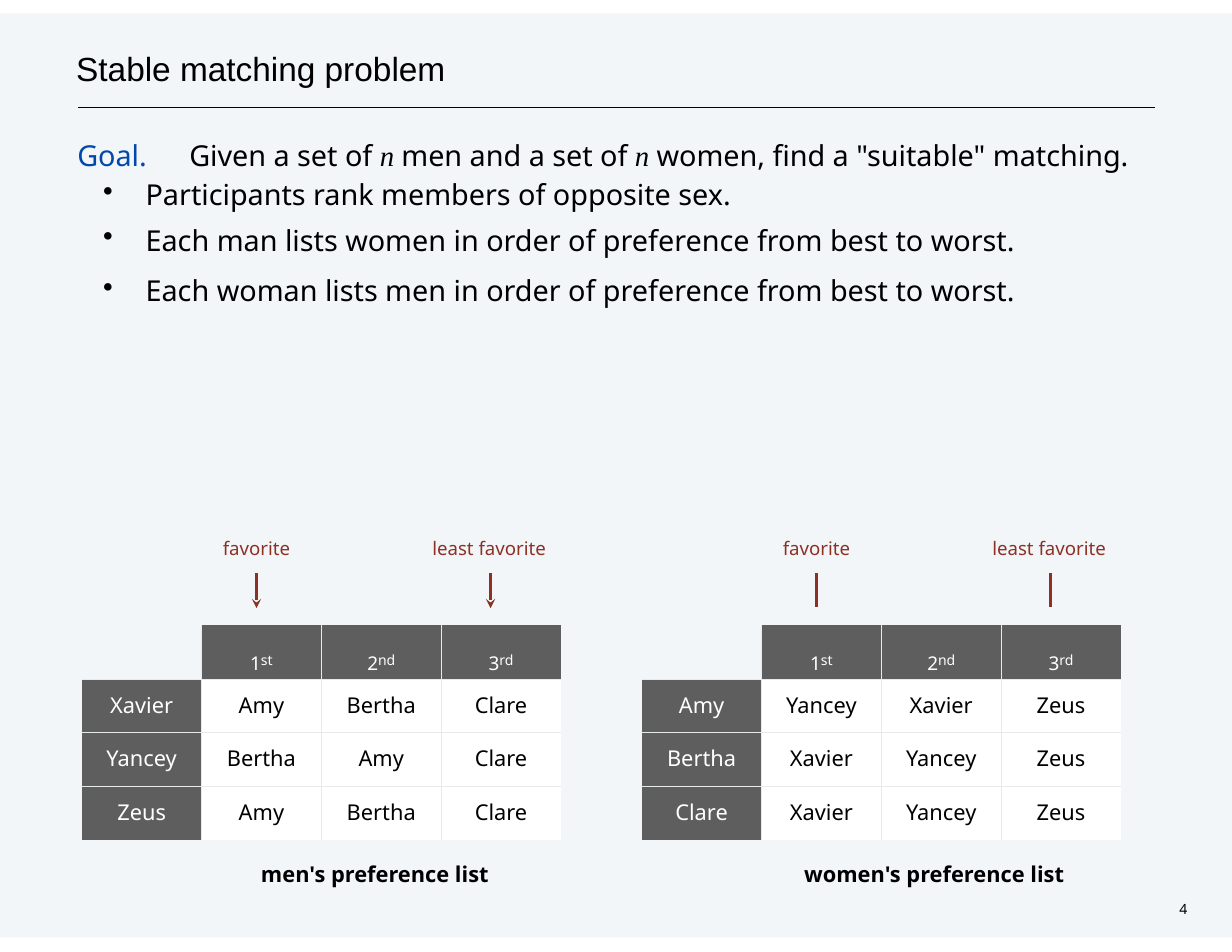
from dataclasses import dataclass
from typing import Any

import pptx
import pptx.dml.color
import pptx.enum.shapes
import pptx.enum.text
import pptx.oxml
import pptx.oxml.ns
import pptx.slide
import pptx.util
from pptx.util import Inches

COLORS = {
    "tint": "005493",
    "black": "000000",
    "white": "FFFFFF",
    "goal": "0048AA",
    "accent": "8D3124",
    "header": "5E5E5E",
    "border": "E7EAEB",
}
SANS = "Noto Sans"
CELL_WIDTH, CELL_HEIGHT = 1.07, 0.48
BODY_SIZE = 18.5
ORDINALS = [("1", "st"), ("2", "nd"), ("3", "rd")]
NAMESPACE = pptx.oxml.ns.nsdecls("a")


@dataclass
class PreferenceList:
    left: float
    caption: str
    caption_left: float
    caption_width: float
    rows: list[list[str]]
    arrow_bottom: float
    arrowheads: bool


PREFERENCE_LISTS = [
    PreferenceList(0.73, "men's preference list", 2.32, 2.12,
                   [["Xavier", "Amy", "Bertha", "Clare"],
                    ["Yancey", "Bertha", "Amy", "Clare"],
                    ["Zeus", "Amy", "Bertha", "Clare"]], 5.43, True),
    PreferenceList(5.73, "women's preference list", 7.17, 2.41,
                   [["Amy", "Yancey", "Xavier", "Zeus"],
                    ["Bertha", "Xavier", "Yancey", "Zeus"],
                    ["Clare", "Xavier", "Yancey", "Zeus"]], 5.42, False),
]


def rgb(name: str) -> pptx.dml.color.RGBColor:
    return pptx.dml.color.RGBColor.from_string(COLORS[name])


def write(paragraph: Any, text: str, *, size: float, color: str = "black", font: str = SANS,
          bold: bool = False, italic: bool = False, baseline: int = 0) -> None:
    """Append one formatted run; baseline is a percentage shift."""
    run = paragraph.add_run()
    run.text = text
    run.font.name = font
    run.font.size = pptx.util.Pt(size)
    run.font.bold = bold
    run.font.italic = italic
    run.font.color.rgb = rgb(color)
    if baseline:
        run.font._element.set("baseline", str(baseline * 1000))


def set_margins(target: Any, top: float) -> None:
    target.margin_left = target.margin_right = target.margin_bottom = 0
    target.margin_top = Inches(top)


def indent(paragraph: Any, left: float, first: float = 0) -> None:
    properties = paragraph._p.get_or_add_pPr()
    properties.set("marL", str(Inches(left)))
    properties.set("indent", str(Inches(first)))


def add_text_box(slide: pptx.slide.Slide, left: float, top: float, width: float,
                 height: float, inset: float) -> Any:
    box = slide.shapes.add_textbox(Inches(left), Inches(top), Inches(width), Inches(height))
    box.text_frame.word_wrap = True
    set_margins(box.text_frame, inset)
    return box.text_frame


def add_label(slide: pptx.slide.Slide, text: str, left: float, top: float, width: float,
              height: float, *, margin: float = 0.01, before: float = 1, **style: Any) -> None:
    paragraph = add_text_box(slide, left, top, width, height, 0.01).paragraphs[0]
    indent(paragraph, margin)
    paragraph.space_before = pptx.util.Pt(before)
    write(paragraph, text, **style)


def add_line(slide: pptx.slide.Slide, start: tuple[float, float], end: tuple[float, float],
             color: str, width: float, arrowhead: bool = False) -> None:
    connector = slide.shapes.add_connector(
        pptx.enum.shapes.MSO_CONNECTOR.STRAIGHT,
        Inches(start[0]), Inches(start[1]), Inches(end[0]), Inches(end[1]))
    connector.line.color.rgb = rgb(color)
    connector.line.width = pptx.util.Pt(width)
    if arrowhead:
        connector.line._get_or_add_ln().append(
            pptx.oxml.parse_xml(f'<a:tailEnd {NAMESPACE} type="stealth"/>'))
    connector._element.spPr.append(pptx.oxml.parse_xml(f"<a:effectLst {NAMESPACE}/>"))


def add_borders(cell: Any, inner_sides: dict[str, bool]) -> None:
    """Rule the sides shared with other cells and clear the outer ones."""
    properties = cell._tc.get_or_add_tcPr()
    for side, inner in inner_sides.items():
        fill = (f'<a:solidFill><a:srgbClr val="{COLORS["border"]}"/></a:solidFill>'
                if inner else "<a:noFill/>")
        properties.append(pptx.oxml.parse_xml(
            f'<a:ln{side} {NAMESPACE} w="{pptx.util.Pt(0.25)}">{fill}</a:ln{side}>'))


def add_preference_table(slide: pptx.slide.Slide, preferences: PreferenceList) -> None:
    table = slide.shapes.add_table(4, 4, Inches(preferences.left), Inches(5.58),
                                   Inches(4 * CELL_WIDTH), Inches(4 * CELL_HEIGHT)).table
    table.first_row = table.horz_banding = False
    for track in range(4):
        table.columns[track].width = Inches(CELL_WIDTH)
        table.rows[track].height = Inches(CELL_HEIGHT)
    for row in range(4):
        for column in range(4):
            cell = table.cell(row, column)
            add_borders(cell, {"L": column > 0, "R": column < 3, "T": row > 0, "B": row < 3})
            set_margins(cell, 0.1 if row else 0.05)
            if row == column == 0:
                cell.fill.background()
                continue
            is_header = row == 0 or column == 0
            cell.fill.solid()
            cell.fill.fore_color.rgb = rgb("header" if is_header else "white")
            paragraph = cell.text_frame.paragraphs[0]
            paragraph.alignment = pptx.enum.text.PP_ALIGN.CENTER
            paragraph.space_before = pptx.util.Pt(7 if row else 3.3)
            if row == 0:
                number, suffix = ORDINALS[column - 1]
                write(paragraph, number, size=21, color="white", baseline=-14)
                write(paragraph, suffix, size=9, color="white")
            else:
                write(paragraph, preferences.rows[row - 1][column], size=14,
                      color="white" if is_header else "black")


def add_preferences(slide: pptx.slide.Slide, preferences: PreferenceList) -> None:
    left = preferences.left
    for text, offset, width, arrow_offset in [("favorite", 1.25, 0.67, 1.56),
                                              ("least favorite", 3.12, 1.12, 3.65)]:
        add_label(slide, text, left + offset, 4.78, width, 0.23, size=12, color="accent")
        x = left + arrow_offset
        add_line(slide, (x, 5.12), (x, preferences.arrow_bottom), "accent", 1.55,
                 preferences.arrowheads)
    add_preference_table(slide, preferences)
    add_label(slide, preferences.caption, preferences.caption_left, 7.68,
              preferences.caption_width, 0.26, size=14, bold=True)


def add_goal(slide: pptx.slide.Slide) -> None:
    frame = add_text_box(slide, 0.63, 1.25, 9.71, 1.59, 0.01)
    goal = frame.paragraphs[0]
    indent(goal, 0.06)
    goal.line_spacing = pptx.util.Pt(20.3)
    goal.space_before = pptx.util.Pt(1.1)
    goal._p.get_or_add_pPr().append(pptx.oxml.parse_xml(
        f'<a:tabLst {NAMESPACE}><a:tab pos="{Inches(0.86)}" algn="l"/></a:tabLst>'))
    write(goal, "Goal.\t", size=BODY_SIZE, color="goal")
    for text in ["Given a set of ", "n ", "men and a set of ", "n ",
                 'women, find a "suitable" matching.']:
        variable = text == "n "
        write(goal, text, size=BODY_SIZE, italic=variable,
              font="Times New Roman" if variable else SANS)
    for text, spacing in [
            ("Participants rank members of opposite sex.", 25),
            ("Each man lists women in order of preference from best to worst.", 29.4),
            ("Each woman lists men in order of preference from best to worst.", 32.4)]:
        bullet = frame.add_paragraph()
        indent(bullet, 0.67, -0.38)
        bullet.line_spacing = pptx.util.Pt(spacing)
        bullet._p.get_or_add_pPr().append(
            pptx.oxml.parse_xml(f'<a:buChar {NAMESPACE} char="•"/>'))
        write(bullet, text, size=BODY_SIZE)


def main() -> None:
    presentation = pptx.Presentation()
    presentation.slide_width, presentation.slide_height = Inches(11), Inches(8.5)
    slide = presentation.slides.add_slide(presentation.slide_layouts[5])

    # Title
    title = slide.shapes.title
    title.left, title.top, title.width, title.height = map(Inches, (0.67, 0.41, 6.18, 0.39))
    set_margins(title.text_frame, 0.02)
    title.text_frame.vertical_anchor = pptx.enum.text.MSO_ANCHOR.TOP
    heading = title.text_frame.paragraphs[0]
    heading.alignment = pptx.enum.text.PP_ALIGN.LEFT
    indent(heading, 0.01)
    heading.space_before = pptx.util.Pt(1.1)
    write(heading, "Stable matching problem", size=21.5, font="Arial")

    # Tinted background behind the title, and the rule below it
    background = slide.shapes.add_shape(pptx.enum.shapes.MSO_SHAPE.RECTANGLE,
                                        0, Inches(0.12), Inches(11), Inches(8.25))
    background.shadow.inherit = False
    background.line.fill.background()
    background.fill.solid()
    background.fill.fore_color.rgb = rgb("tint")
    background._element.spPr.find(".//" + pptx.oxml.ns.qn("a:srgbClr")).append(
        pptx.oxml.parse_xml(f'<a:alpha {NAMESPACE} val="5000"/>'))
    title._element.addprevious(background._element)
    add_line(slide, (0.7, 0.96), (10.31, 0.96), "black", 0.77)

    # Body, preference lists and page number
    add_goal(slide)
    for preferences in PREFERENCE_LISTS:
        add_preferences(slide, preferences)
    add_label(slide, "4", 10.45, 8.03, 0.26, 0.18, margin=0.08, size=9)

    presentation.save("out.pptx")


if __name__ == "__main__":
    main()
